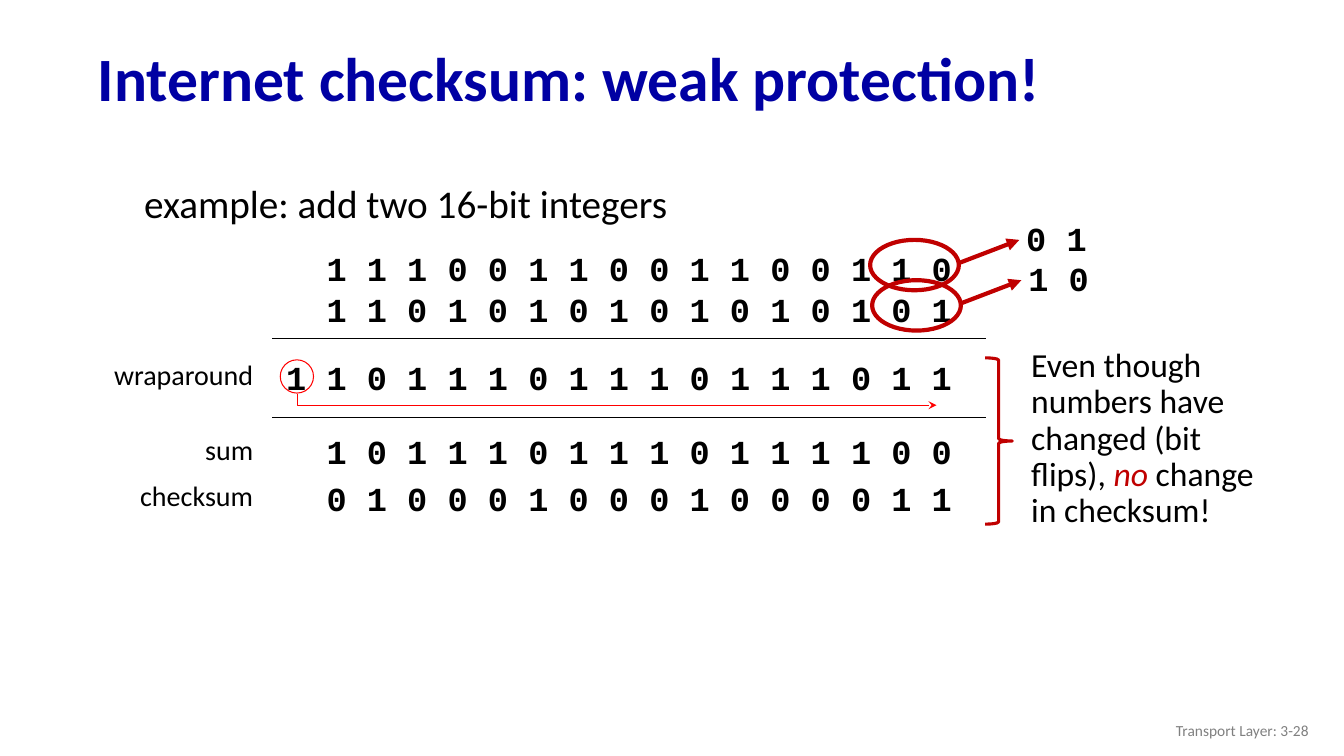
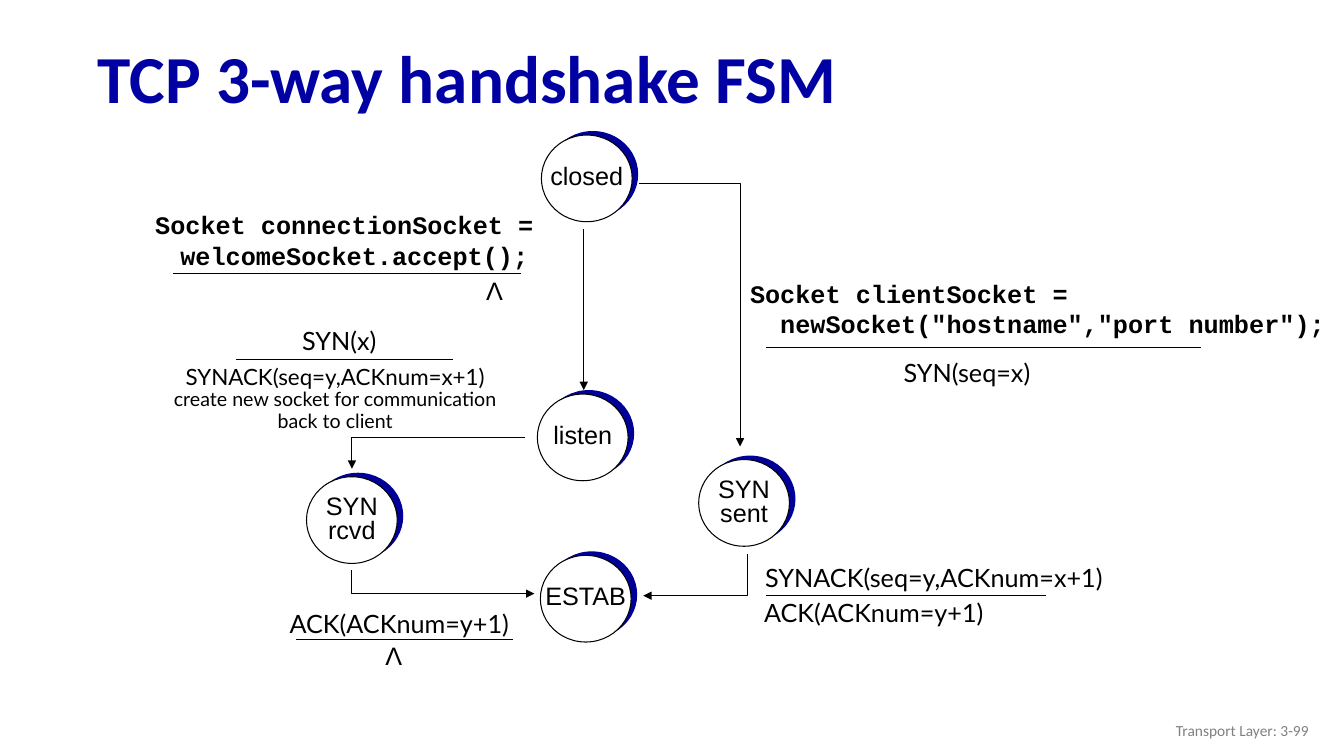
from dataclasses import dataclass

from lxml.etree import SubElement
from pptx import Presentation
from pptx.dml.color import RGBColor
from pptx.enum.shapes import MSO_CONNECTOR, MSO_SHAPE
from pptx.enum.text import MSO_ANCHOR, MSO_AUTO_SIZE, PP_ALIGN
from pptx.oxml.ns import qn
from pptx.util import Pt

EMU_PER_PX = 9144
SLIDE_WIDTH, SLIDE_HEIGHT = 1333, 750


@dataclass(frozen=True)
class Theme:
    black: RGBColor = RGBColor(0x00, 0x00, 0x00)
    white: RGBColor = RGBColor(0xFF, 0xFF, 0xFF)
    title_blue: RGBColor = RGBColor(0x00, 0x00, 0xA3)
    state_blue: RGBColor = RGBColor(0x00, 0x00, 0x99)
    red: RGBColor = RGBColor(0xFF, 0x00, 0x00)
    dark_red: RGBColor = RGBColor(0xC0, 0x00, 0x00)
    gray: RGBColor = RGBColor(0x80, 0x80, 0x80)
    body_font: str = "Calibri"
    code_font: str = "Courier New"
    state_font: str = "Arial"
    event_font: str = "Lato"
    lead_size: int = 28
    large_size: int = 24
    label_size: int = 20
    event_size: int = 18
    action_size: int = 16
    detail_size: int = 14
    footer_size: int = 11
    hairline: float = 0.75


THEME = Theme()


@dataclass(frozen=True)
class TextStyle:
    size: int
    font: str = THEME.body_font
    color: RGBColor = THEME.black
    bold: bool = False
    align: PP_ALIGN = PP_ALIGN.LEFT
    spacing: float = 1.0


BITS = TextStyle(THEME.large_size, THEME.code_font, bold=True)
CODE = TextStyle(THEME.event_size, THEME.code_font, bold=True)
LABEL = TextStyle(THEME.label_size, align=PP_ALIGN.RIGHT)
FOOTER = TextStyle(THEME.footer_size, color=THEME.gray, align=PP_ALIGN.RIGHT)
NOTE = TextStyle(THEME.large_size, spacing=0.9)
STATE = TextStyle(THEME.event_size, THEME.state_font, align=PP_ALIGN.CENTER, spacing=0.8)
EMPTY_ACTION = TextStyle(THEME.event_size, THEME.state_font, align=PP_ALIGN.CENTER)
EVENT = TextStyle(THEME.event_size, THEME.event_font, align=PP_ALIGN.CENTER)
TIGHT_EVENT = TextStyle(THEME.event_size, THEME.event_font, align=PP_ALIGN.CENTER, spacing=0.9)
LEFT_EVENT = TextStyle(THEME.event_size, THEME.event_font, spacing=0.9)
ACTION = TextStyle(THEME.action_size, THEME.event_font, align=PP_ALIGN.CENTER, spacing=0.9)
DETAIL = TextStyle(THEME.detail_size, THEME.event_font, align=PP_ALIGN.CENTER, spacing=0.9)


def px(*lengths):
    return [round(length * EMU_PER_PX) for length in lengths]


def style_paragraph(paragraph, style):
    paragraph.alignment = style.align
    paragraph.line_spacing = style.spacing
    font = paragraph.font
    font.name, font.size, font.bold = style.font, Pt(style.size), style.bold
    font.color.rgb = style.color


def write_lines(text_frame, lines):
    """Write (text, style) pairs, one paragraph each."""
    for index, (text, style) in enumerate(lines):
        paragraph = text_frame.paragraphs[0] if index == 0 else text_frame.add_paragraph()
        paragraph.text = text
        style_paragraph(paragraph, style)


def add_text(slide, box, *lines, anchor=MSO_ANCHOR.TOP):
    text_frame = slide.shapes.add_textbox(*px(*box)).text_frame
    text_frame.word_wrap = True
    text_frame.vertical_anchor = anchor
    write_lines(text_frame, lines)
    return text_frame


def fill_placeholder(placeholder, box, text, style, anchor):
    placeholder.left, placeholder.top, placeholder.width, placeholder.height = px(*box)
    text_frame = placeholder.text_frame
    text_frame.auto_size = MSO_AUTO_SIZE.NONE
    text_frame.vertical_anchor = anchor
    properties = text_frame.paragraphs[0]._p.get_or_add_pPr()
    properties.set("marL", "0")
    properties.set("indent", "0")
    SubElement(properties, qn("a:buNone"))
    write_lines(text_frame, [(text, style)])


def style_line(shape, color, width, arrowhead=None):
    shape.line.color.rgb = color
    shape.line.width = Pt(width)
    if arrowhead:
        SubElement(shape.element.spPr.find(qn("a:ln")), qn("a:tailEnd"), type=arrowhead)


def add_line(slide, start, end, color=THEME.black, width=THEME.hairline, arrowhead=None):
    line = slide.shapes.add_connector(MSO_CONNECTOR.STRAIGHT, *px(*start, *end))
    style_line(line, color, width, arrowhead)
    SubElement(line.element.spPr, qn("a:effectLst"))


def add_bent_arrow(slide, points, color=THEME.black, arrowhead="triangle"):
    start, *rest = [px(*point) for point in points]
    builder = slide.shapes.build_freeform(*start)
    builder.add_line_segments(rest, close=False)
    arrow = builder.convert_to_shape()
    arrow.shadow.inherit = False
    arrow.fill.background()
    style_line(arrow, color, THEME.hairline, arrowhead)


def add_outline(slide, kind, box, color, width, fill=None):
    shape = slide.shapes.add_shape(kind, *px(*box))
    shape.shadow.inherit = False
    if fill is None:
        shape.fill.background()
    else:
        shape.fill.solid()
        shape.fill.fore_color.rgb = fill
    if color is None:
        shape.line.fill.background()
    else:
        style_line(shape, color, width)
    return shape


def add_slide(presentation, layout_index, title, title_size, page):
    slide = presentation.slides.add_slide(presentation.slide_layouts[layout_index])
    title_style = TextStyle(title_size, color=THEME.title_blue, bold=True, spacing=0.9)
    fill_placeholder(slide.shapes.title, (87, 32, 1214, 98), title, title_style, MSO_ANCHOR.MIDDLE)
    add_text(slide, (1008, 705, 300, 40), (f"Transport Layer: 3-{page}", FOOTER),
             anchor=MSO_ANCHOR.MIDDLE)
    return slide


def add_bits(slide, right, top, digits):
    """Set spaced digits so that the last one ends at the right edge."""
    width = 20 * (2 * len(digits) - 1) + 25
    add_text(slide, (right - width, top, width + 20, 50), (" ".join(digits), BITS))


def add_addition(slide, left, top):
    """Draw the binary sum with its labels, rules and carry arrow."""
    rows = [
        (0, "", "1110011001100110"),
        (41, "", "1101010101010101"),
        (108, "wraparound", "11011101110111011"),
        (182, "sum", "1011101110111100"),
        (228, "checksum", "0100010001000011"),
    ]
    for offset, label, digits in rows:
        add_bits(slide, left + 856, top + offset, digits)
        if label:
            add_text(slide, (left, top + offset + 1, 158, 44), (label, LABEL))
    for offset in (95, 173):
        add_line(slide, (left + 167, top + offset), (left + 875, top + offset), width=1)
    add_outline(slide, MSO_SHAPE.OVAL, (left + 175, top + 116, 33, 33), THEME.red, THEME.hairline)
    carry_left, carry_bottom = left + 192, top + 161
    add_bent_arrow(slide, [(carry_left, top + 150), (carry_left, carry_bottom),
                           (left + 826, carry_bottom)], THEME.red, "stealth")


def add_bit_flip(slide, left, top, digits):
    add_outline(slide, MSO_SHAPE.OVAL, (left, top, 88, 50), THEME.dark_red, 3)
    add_line(slide, (left + 88, top + 23), (left + 148, top), THEME.dark_red, 3, "triangle")
    add_bits(slide, left + 230, top - 27, digits)


def add_conclusion(slide, left, top):
    add_outline(slide, MSO_SHAPE.RIGHT_BRACE, (left, top, 27, 165), THEME.dark_red, 2.25)
    text_frame = add_text(slide, (left + 36, top - 14, 263, 192),
                          ("Even though numbers have changed (bit flips), ", NOTE))
    paragraph = text_frame.paragraphs[0]
    emphasis = paragraph.add_run()
    emphasis.text = "no"
    emphasis.font.italic = True
    emphasis.font.color.rgb = THEME.dark_red
    paragraph.add_run().text = " change in checksum!"


def build_checksum_slide(presentation):
    slide = add_slide(presentation, 1, "Internet checksum: weak protection!", 44, 28)
    fill_placeholder(slide.placeholders[1], (133, 159, 850, 80),
                     "example: add two 16-bit integers",
                     TextStyle(THEME.lead_size, spacing=1.3), MSO_ANCHOR.TOP)
    add_addition(slide, 103, 241)
    add_bit_flip(slide, 863, 238, "01")
    add_bit_flip(slide, 865, 278, "10")
    add_conclusion(slide, 977, 355)


def add_state(slide, left, top, *names):
    """Draw a white disc on an offset blue disc, with the state name inside."""
    add_outline(slide, MSO_SHAPE.OVAL, (left + 6, top - 4, 90, 86), None, 0, THEME.state_blue)
    disc = add_outline(slide, MSO_SHAPE.OVAL, (left, top, 90, 86), THEME.black,
                       THEME.hairline, THEME.white)
    text_frame = disc.text_frame
    text_frame.word_wrap = False
    text_frame.vertical_anchor = MSO_ANCHOR.MIDDLE
    text_frame.margin_left = text_frame.margin_right = 0
    text_frame.margin_top = text_frame.margin_bottom = 0
    write_lines(text_frame, [(name, STATE) for name in names])


def add_transition(slide, rule, *labels):
    """Draw a rule (left, top, width) and labels whose boxes are relative to its left end."""
    left, top, width = rule
    add_line(slide, (left, top), (left + width, top))
    frames = []
    for (offset_x, offset_y, label_width, label_height), *lines in labels:
        box = (left + offset_x, top + offset_y, label_width, label_height)
        frames.append(add_text(slide, box, *lines))
    return frames


def add_server_transitions(slide, left, top):
    accept, _ = add_transition(
        slide, (left + 28, top + 68, 345),
        ((-28, -68, 458, 71),
         ("Socket connectionSocket = welcomeSocket.accept();", CODE)),
        ((300, -3, 37, 40), ("Λ", EMPTY_ACTION)))
    hanging = accept.paragraphs[0]._p.get_or_add_pPr()
    hanging.set("marL", str(25 * EMU_PER_PX))
    hanging.set("indent", str(-25 * EMU_PER_PX))
    add_transition(
        slide, (left + 90, top + 154, 215),
        ((44, -39, 117, 40), ("SYN(x)", EVENT)),
        ((-90, 1, 377, 80), ("SYNACK(seq=y,ACKnum=x+1)", ACTION),
         ("create new socket for communication back to client", DETAIL)))
    add_transition(
        slide, (left + 150, top + 431, 215),
        ((-19, -32, 242, 40), ("ACK(ACKnum=y+1)", TIGHT_EVENT)),
        ((78, -4, 37, 40), ("Λ", EMPTY_ACTION)))


def add_client_transitions(slide, left, top):
    add_transition(
        slide, (left, top, 431),
        ((-26, -74, 599, 71), ("Socket clientSocket =", CODE),
         ('  newSocket("hostname","port number");', CODE)),
        ((112, 5, 174, 40), ("SYN(seq=x)", EVENT)))
    add_transition(
        slide, (left, top + 246, 277),
        ((-11, -35, 375, 40), ("SYNACK(seq=y,ACKnum=x+1)", LEFT_EVENT)),
        ((-12, 0, 260, 40), ("ACK(ACKnum=y+1)", LEFT_EVENT)))


def build_handshake_slide(presentation):
    slide = add_slide(presentation, 5, "TCP 3-way handshake FSM", 48, 99)
    for state in [(537, 134, "closed"), (533, 391, "listen"), (304, 473, "SYN", "rcvd"),
                  (693, 456, "SYN", "sent"), (536, 551, "ESTAB")]:
        add_state(slide, *state)
    add_line(slide, (579, 227), (579, 387), arrowhead="triangle")
    for points in [
        [(634, 182), (734, 182), (734, 443)],
        [(521, 434), (349, 434), (349, 465)],
        [(349, 566), (349, 589), (530, 589)],
        [(741, 550), (741, 591), (638, 591)],
    ]:
        add_bent_arrow(slide, points)
    add_server_transitions(slide, 144, 203)
    add_client_transitions(slide, 760, 345)


def main():
    presentation = Presentation()
    presentation.slide_width, presentation.slide_height = px(SLIDE_WIDTH, SLIDE_HEIGHT)
    build_checksum_slide(presentation)
    build_handshake_slide(presentation)
    presentation.save("out.pptx")


if __name__ == "__main__":
    main()
